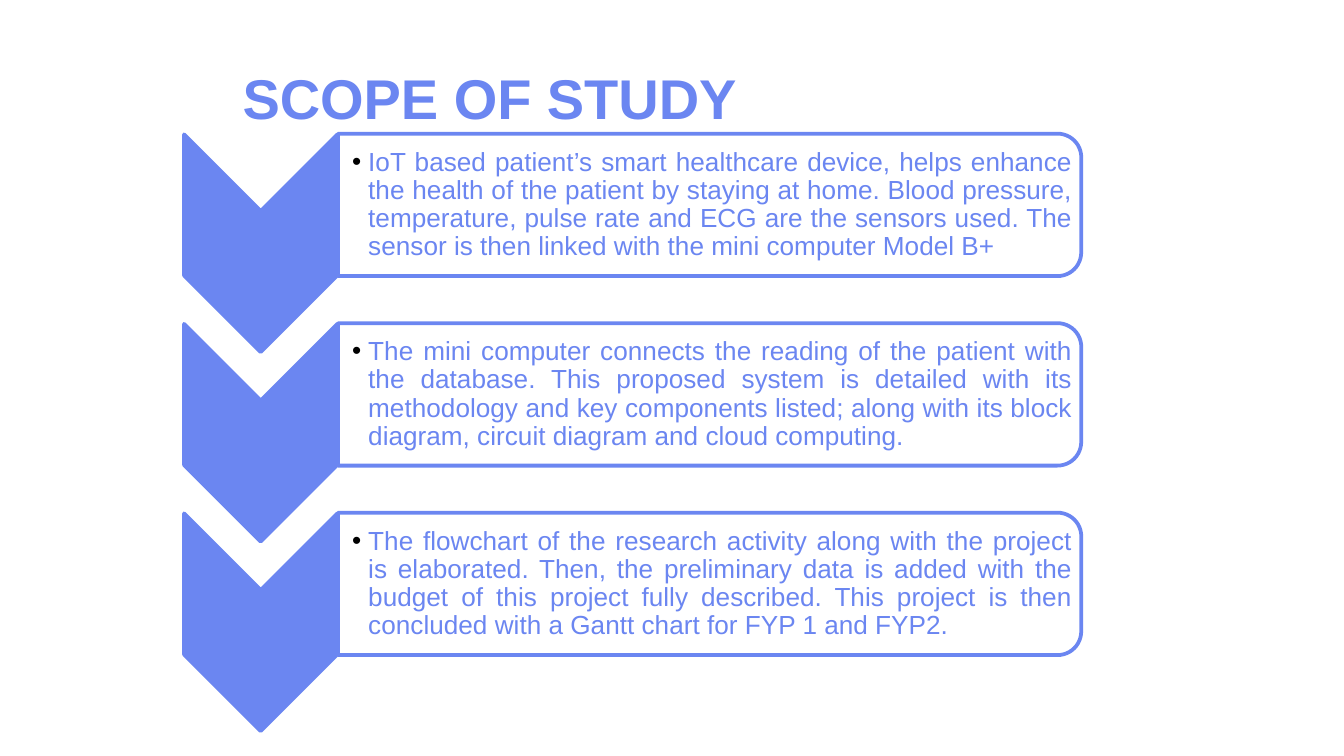
from dataclasses import dataclass

import pptx
import pptx.dml.color
import pptx.enum.shapes
import pptx.enum.text
import pptx.oxml
import pptx.oxml.ns
import pptx.util
from pptx.util import Inches

Shapes = pptx.enum.shapes.MSO_SHAPE
Align = pptx.enum.text.PP_ALIGN
Anchor = pptx.enum.text.MSO_ANCHOR


@dataclass(frozen=True)
class Theme:
    accent: str = "6B86F1"
    paper: str = "FFFFFF"
    bullet: str = "000000"
    font: str = "Arial"
    title_size: int = 30
    body_size: int = 14
    line_width: int = 2


@dataclass(frozen=True)
class Step:
    text: str


THEME = Theme()
SLIDE_WIDTH = 10
SLIDE_HEIGHT = SLIDE_WIDTH * 9 / 16
STEP_PITCH = 1.41
STEPS = (
    Step("IoT based patient’s smart healthcare device, helps enhance the health of the "
         "patient by staying at home. Blood pressure, temperature, pulse rate and ECG are "
         "the sensors used. The sensor is then linked with the mini computer Model B+"),
    Step("The mini computer connects the reading of the patient with the database. This "
         "proposed system is detailed with its methodology and key components listed; along "
         "with its block diagram, circuit diagram and cloud computing."),
    Step("The flowchart of the research activity along with the project is elaborated. Then, "
         "the preliminary data is added with the budget of this project fully described. This "
         "project is then concluded with a Gantt chart for FYP 1 and FYP2."),
)


def color(value: str) -> pptx.dml.color.RGBColor:
    return pptx.dml.color.RGBColor.from_string(value)


def add_bullet(paragraph, indent: float) -> None:
    """Give the paragraph a hanging round bullet in the theme's bullet colour."""
    properties = paragraph._p.get_or_add_pPr()
    properties.set("marL", str(Inches(indent)))
    properties.set("indent", str(-Inches(indent)))
    namespace = pptx.oxml.ns.nsdecls("a")
    for markup in (
        f'<a:buClr {namespace}><a:srgbClr val="{THEME.bullet}"/></a:buClr>',
        f'<a:buFont {namespace} typeface="{THEME.font}"/>',
        f'<a:buChar {namespace} char="•"/>',
    ):
        properties.append(pptx.oxml.parse_xml(markup))


def write_text(shape, text: str, *, size: int, align, anchor, insets: tuple,
               bold: bool = False, line_spacing: float = 1.0,
               bullet_indent: float = 0) -> None:
    """Fill the shape with one paragraph; insets are left, top, right, bottom."""
    frame = shape.text_frame
    frame.word_wrap = True
    frame.auto_size = pptx.enum.text.MSO_AUTO_SIZE.NONE
    frame.vertical_anchor = anchor
    (frame.margin_left, frame.margin_top,
     frame.margin_right, frame.margin_bottom) = map(Inches, insets)
    paragraph = frame.paragraphs[0]
    paragraph.alignment = align
    paragraph.line_spacing = line_spacing
    paragraph.space_before = pptx.util.Pt(0)
    if bullet_indent:
        add_bullet(paragraph, bullet_indent)
    run = paragraph.add_run()
    run.text = text
    run.font.name = THEME.font
    run.font.size = pptx.util.Pt(size)
    run.font.bold = bold
    run.font.color.rgb = color(THEME.accent)


def add_turned_shape(slide, kind, left: float, top: float, width: float,
                     height: float, fill: str) -> None:
    """Add an outlined shape turned a quarter clockwise; the box is before turning."""
    shape = slide.shapes.add_shape(
        kind, Inches(left), Inches(top), Inches(width), Inches(height))
    shape.rotation = 90
    shape.shadow.inherit = False
    shape.fill.solid()
    shape.fill.fore_color.rgb = color(fill)
    shape.line.color.rgb = color(THEME.accent)
    shape.line.width = pptx.util.Pt(THEME.line_width)


def add_step(slide, step: Step, offset: float) -> None:
    add_turned_shape(slide, Shapes.CHEVRON, 1.13, 1.24 + offset, 1.62, 1.14, THEME.accent)
    add_turned_shape(slide, Shapes.ROUND_2_SAME_RECTANGLE,
                     4.75, -1.24 + offset, 1.06, 5.53, THEME.paper)
    box = slide.shapes.add_textbox(
        Inches(2.51), Inches(1.05 + offset), Inches(5.48), Inches(0.95))
    write_text(box, step.text, size=THEME.body_size, align=Align.JUSTIFY,
               anchor=Anchor.MIDDLE, insets=(0.11, 0.01, 0.01, 0.01),
               line_spacing=0.9, bullet_indent=0.12)


def add_title(slide, text: str) -> None:
    title = slide.shapes.title
    title.left, title.top = Inches(0.47), Inches(0.37)
    title.width, title.height = Inches(6.35), Inches(0.63)
    write_text(title, text, size=THEME.title_size, align=Align.CENTER,
               anchor=Anchor.TOP, insets=(0.1, 0.1, 0.1, 0.1), bold=True)


def main() -> None:
    presentation = pptx.Presentation()
    presentation.slide_width = Inches(SLIDE_WIDTH)
    presentation.slide_height = Inches(SLIDE_HEIGHT)
    title_only = presentation.slide_layouts.get_by_name("Title Only")
    slide = presentation.slides.add_slide(title_only)
    add_title(slide, "SCOPE OF STUDY")
    for index, step in enumerate(STEPS):
        add_step(slide, step, index * STEP_PITCH)
    presentation.save("out.pptx")


if __name__ == "__main__":
    main()
